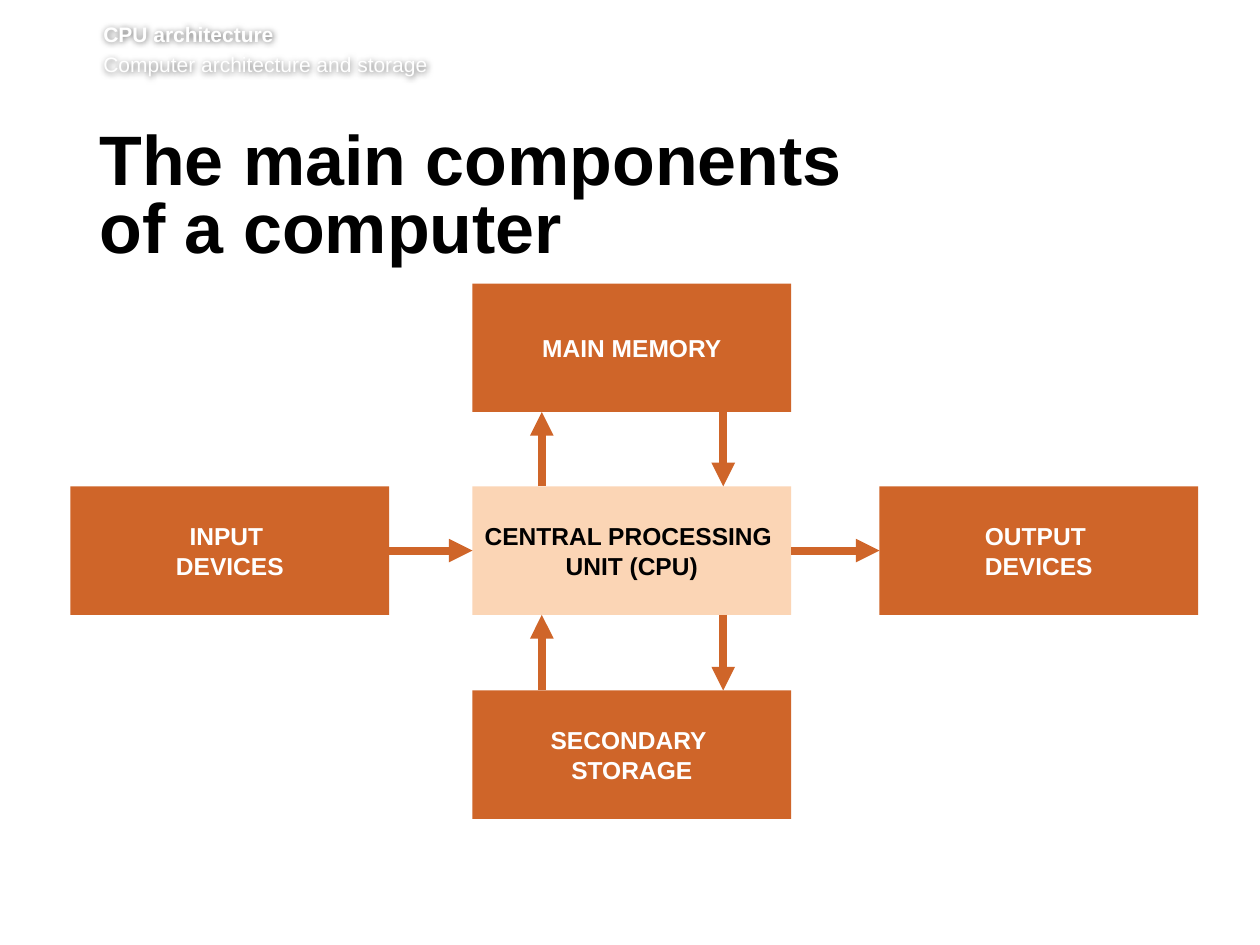
from lxml import etree
from pptx import Presentation
from pptx.dml.color import RGBColor
from pptx.enum.shapes import MSO_CONNECTOR, MSO_SHAPE
from pptx.enum.text import MSO_ANCHOR, MSO_AUTO_SIZE, PP_ALIGN
from pptx.oxml.ns import qn
from pptx.util import Inches, Pt

RECTANGLE = MSO_SHAPE.RECTANGLE
STRAIGHT = MSO_CONNECTOR.STRAIGHT
TOP, MIDDLE = MSO_ANCHOR.TOP, MSO_ANCHOR.MIDDLE
LEFT, CENTER = PP_ALIGN.LEFT, PP_ALIGN.CENTER
NO_AUTOFIT = MSO_AUTO_SIZE.NONE
LEFT_SIDE, RIGHT_SIDE = 1, 3

ORANGE = RGBColor(0xCF, 0x65, 0x29)
LIGHT_ORANGE = RGBColor(0xF7, 0x96, 0x46)
WHITE = RGBColor(0xFF, 0xFF, 0xFF)
BLACK = RGBColor(0, 0, 0)
FONT = "Arial"

# Grid of 100 columns by 75 rows
SLIDE_WIDTH, SLIDE_HEIGHT = Inches(10), Inches(7.5)
COLUMN, ROW = SLIDE_WIDTH / 100, SLIDE_HEIGHT / 75
BOX_WIDTH, BOX_HEIGHT = 25.3, 10.2
LEFT_COLUMN, CENTER_COLUMN, RIGHT_COLUMN = 5.6, 37.5, 69.8
TOP_ROW, MIDDLE_ROW, BOTTOM_ROW = 22.5, 38.6, 54.8
UP_COLUMN, DOWN_COLUMN = 43, 57.4


class Diagram:
    def __init__(self, slide):
        self.slide = slide

    def area(self, left, top, width, height):
        return (round(left * COLUMN), round(top * ROW),
                round(width * COLUMN), round(height * ROW))

    def style(self, paragraph, size, color, bold=True, alignment=LEFT):
        paragraph.alignment = alignment
        font = paragraph.font
        font.name, font.size, font.bold = FONT, Pt(size), bold
        font.color.rgb = color

    def frame(self, shape, margins, anchor=TOP, wrap=True):
        frame = shape.text_frame
        frame.auto_size = NO_AUTOFIT
        frame.word_wrap, frame.vertical_anchor = wrap, anchor
        (frame.margin_left, frame.margin_top,
         frame.margin_right, frame.margin_bottom) = map(Inches, margins)
        return frame

    def header(self, lines, *area):
        shape = self.slide.shapes.add_textbox(*self.area(*area))
        frame = self.frame(shape, (0, 0, 0, 0.05))
        frame.text = "\n".join(lines)
        for index, paragraph in enumerate(frame.paragraphs):
            self.style(paragraph, 12, WHITE, bold=index == 0)
            paragraph.space_before = Pt(2.9)
        # Soft shadow that makes the white text readable
        effects = etree.SubElement(shape.element.spPr, qn("a:effectLst"))
        shadow = etree.SubElement(effects, qn("a:outerShdw"),
                                  blurRad=str(Pt(4)), dist="0", dir="0")
        color = etree.SubElement(shadow, qn("a:srgbClr"), val="000000")
        etree.SubElement(color, qn("a:alpha"), val="60000")

    def title(self, text, *area):
        shape = self.slide.shapes.title
        shape.left, shape.top, shape.width, shape.height = self.area(*area)
        frame = self.frame(shape, (0, 0.05, 0.1, 0.05))
        frame.text = text
        paragraph = frame.paragraphs[0]
        self.style(paragraph, 40, BLACK)
        paragraph.line_spacing = Pt(39)

    def box(self, text, left, top, fill=ORANGE, color=WHITE, opacity=100):
        shape = self.slide.shapes.add_shape(
            RECTANGLE, *self.area(left, top, BOX_WIDTH, BOX_HEIGHT))
        shape.shadow.inherit = False
        shape.fill.solid()
        shape.fill.fore_color.rgb = fill
        shape.line.fill.background()
        if opacity < 100:
            fill_color = shape.element.spPr.find(qn("a:solidFill"))[0]
            etree.SubElement(fill_color, qn("a:alpha"), val=str(opacity * 1000))
        frame = self.frame(shape, (0.1, 0.05, 0.1, 0.05), MIDDLE, wrap=False)
        frame.text = text
        for paragraph in frame.paragraphs:
            self.style(paragraph, 14, color, alignment=CENTER)
        return shape

    def arrow(self, start=(0, 0), end=(0, 0)):
        connector = self.slide.shapes.add_connector(
            STRAIGHT, *self.area(*start, *end))
        connector.line.color.rgb = ORANGE
        connector.line.width = Pt(4.5)
        etree.SubElement(connector.line._get_or_add_ln(), qn("a:tailEnd"),
                         type="triangle")
        etree.SubElement(connector.element.spPr, qn("a:effectLst"))
        return connector

    def link(self, source, target):
        connector = self.arrow()
        connector.begin_connect(source, RIGHT_SIDE)
        connector.end_connect(target, LEFT_SIDE)


def main():
    presentation = Presentation()
    presentation.slide_width = SLIDE_WIDTH
    presentation.slide_height = SLIDE_HEIGHT
    title_only = presentation.slide_layouts[5]
    diagram = Diagram(presentation.slides.add_slide(title_only))

    # Headings
    diagram.header(["CPU architecture", "Computer architecture and storage"],
                   8.2, 1.7, 88.2, 4.9)
    diagram.title("The main components \vof a computer", 7.9, 9.9, 85.5, 7.3)

    # Components
    diagram.box("MAIN MEMORY", CENTER_COLUMN, TOP_ROW)
    diagram.box("SECONDARY \nSTORAGE", CENTER_COLUMN, BOTTOM_ROW)
    processor = diagram.box("CENTRAL PROCESSING \nUNIT (CPU)", CENTER_COLUMN,
                            MIDDLE_ROW, LIGHT_ORANGE, BLACK, opacity=40)
    inputs = diagram.box("INPUT \nDEVICES", LEFT_COLUMN, MIDDLE_ROW)
    outputs = diagram.box("OUTPUT \nDEVICES", RIGHT_COLUMN, MIDDLE_ROW)

    # Data flow across, then up and down between the stacked boxes
    diagram.link(inputs, processor)
    diagram.link(processor, outputs)
    for upper, lower in ((TOP_ROW, MIDDLE_ROW), (MIDDLE_ROW, BOTTOM_ROW)):
        upper_edge = upper + BOX_HEIGHT
        diagram.arrow((UP_COLUMN, lower), (UP_COLUMN, upper_edge))
        diagram.arrow((DOWN_COLUMN, upper_edge), (DOWN_COLUMN, lower))

    presentation.save("out.pptx")


if __name__ == "__main__":
    main()
